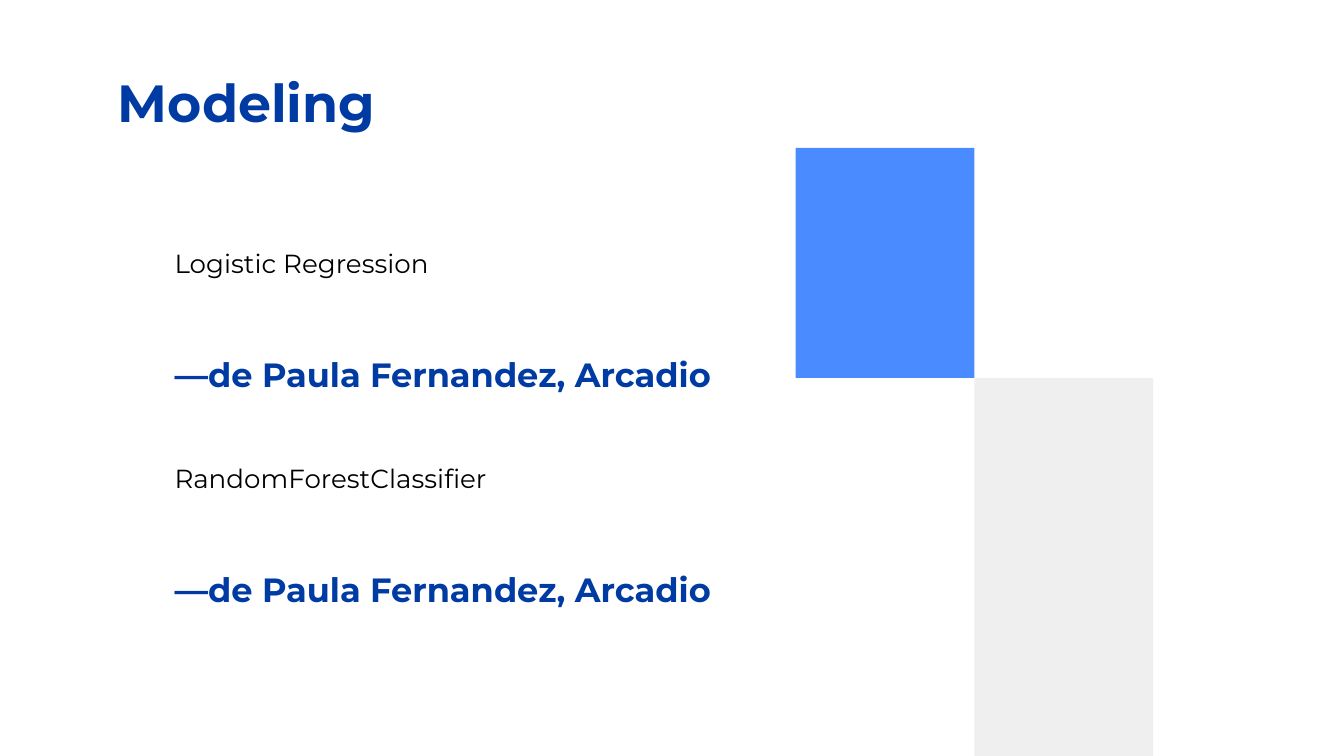
from pptx import Presentation
from pptx.dml.color import RGBColor
from pptx.enum.shapes import MSO_SHAPE
from pptx.enum.text import MSO_ANCHOR, PP_ALIGN
from pptx.util import Inches, Pt

RECT = MSO_SHAPE.RECTANGLE
TOP = MSO_ANCHOR.TOP
LEFT = PP_ALIGN.LEFT

NAVY = RGBColor(0x00, 0x3B, 0xA3)
BLUE = RGBColor(0x4A, 0x8C, 0xFF)
GRAY = RGBColor(0xEF, 0xEF, 0xEF)
BLACK = RGBColor(0x00, 0x00, 0x00)

# 16:9 slide
WIDTH = 10
HEIGHT = WIDTH * 9 / 16

FONT = "Montserrat"
TITLE = {"size": Pt(28), "bold": True, "color": NAVY}
MODEL = {"size": Pt(14), "bold": False, "color": BLACK}
AUTHOR = {"size": Pt(18), "bold": True, "color": NAVY}


class SlideBuilder:
    """Holds the shared style and the current slide."""

    def __init__(self, prs):
        self.font = FONT
        self.inset = Inches(0.1)
        self.slide = prs.slides.add_slide(prs.slide_layouts[6])

    def text(self, text, left, top, width, height, style, space_after=0):
        box = self.slide.shapes.add_textbox(
            Inches(left), Inches(top), Inches(width), Inches(height))
        tf = box.text_frame
        frame_format = {"word_wrap": True, "vertical_anchor": TOP}
        for side in ("left", "top", "right", "bottom"):
            frame_format[f"margin_{side}"] = self.inset
        for name, value in frame_format.items():
            setattr(tf, name, value)
        p = tf.paragraphs[0]
        p.alignment = LEFT
        p.space_after = Pt(space_after)
        r = p.add_run()
        r.text = text
        r.font.name = self.font
        for name, value in style.items():
            if name == "color":
                r.font.color.rgb = value
            else:
                setattr(r.font, name, value)

    def block(self, left, top, width, height, color):
        sp = self.slide.shapes.add_shape(
            RECT, Inches(left), Inches(top), Inches(width), Inches(height))
        sp.shadow.inherit = False
        sp.fill.solid()
        sp.fill.fore_color.rgb = color
        sp.line.fill.background()


def main():
    prs = Presentation()
    prs.slide_width = Inches(WIDTH)
    prs.slide_height = Inches(HEIGHT)
    s = SlideBuilder(prs)

    # Title
    s.text("Modeling", 0.78, 0.42, 8.43, 0.63, TITLE)

    # Models, each with its author below
    left, first_top, pitch, model_height = 1.2, 1.74, 1.6, 0.79
    models = (("Logistic Regression", 4.52), ("RandomForestClassifier", 4.32))
    for i, (model, author_width) in enumerate(models):
        top = first_top + i * pitch
        s.text(model, left, top, 3.08, model_height, MODEL, 16)
        s.text("—de Paula Fernandez, Arcadio", left, top + model_height,
               author_width, 0.45, AUTHOR, 16)

    # Colour blocks meeting at one corner, halfway down the slide
    corner_x, corner_y, width = 7.25, HEIGHT / 2, 1.33
    s.block(corner_x - width, 1.1, width, corner_y - 1.1, BLUE)
    s.block(corner_x, corner_y, width, HEIGHT - corner_y, GRAY)

    prs.save("out.pptx")


if __name__ == "__main__":
    main()
